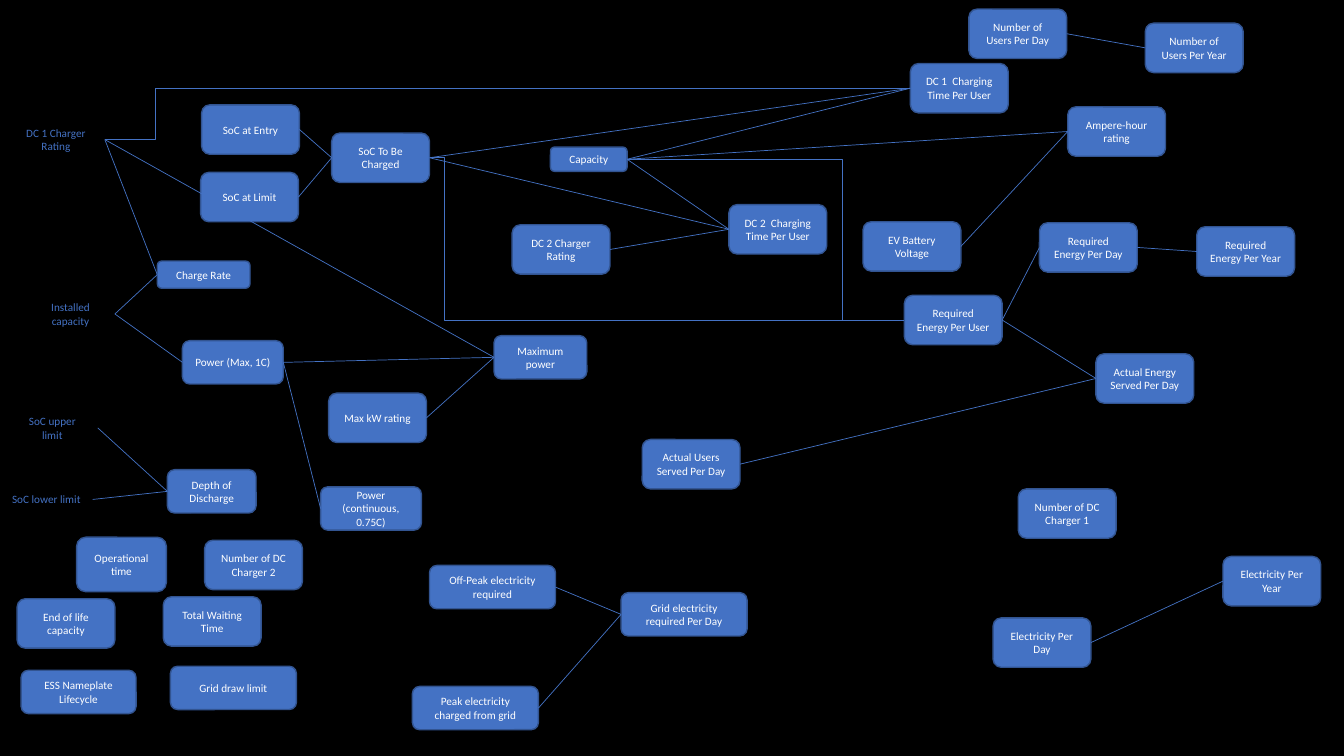
import pptx
import pptx.util
import pptx.dml.color
import pptx.enum.shapes
import pptx.enum.text
import pptx.oxml
import pptx.oxml.ns
import lxml.etree

Inches = pptx.util.Inches
Pt = pptx.util.Pt
BLUE, EDGE, WHITE, BLACK = "4472C4", "325491", "FFFFFF", "000000"

# Filled boxes, grouped by size: (width, height) -> (text, left, top)
BOXES = {
    (0.97, 0.49): [
        ("End of life capacity", 0.17, 5.94),
        ("Number of DC Charger 1", 10.1, 4.85),
        ("DC 1  Charging Time Per User", 9.03, 0.63),
        ("DC 2 Charger Rating", 5.08, 2.23),
        ("Number of DC Charger 2", 2.03, 5.36),
        ("DC 2  Charging Time Per User", 7.23, 2.03),
        ("Number of Users Per Day", 9.61, 0.09),
        ("Number of Users Per Year", 11.36, 0.23),
        ("SoC at Entry", 2, 1.04),
        ("SoC at Limit", 1.99, 1.71),
        ("SoC To Be Charged", 3.29, 1.32),
        ("Total Waiting Time", 1.62, 5.92),
        ("Actual Users Served Per Day", 6.37, 4.36),
        ("Actual Energy Served Per Day", 10.87, 3.51),
        ("Required Energy Per User", 8.97, 2.93),
        ("Required Energy Per Day", 10.31, 2.21),
        ("Required Energy Per Year", 11.87, 2.25),
        ("Electricity Per Day", 9.85, 6.13),
        ("Electricity Per Year", 12.13, 5.52),
        ("EV Battery Voltage", 8.56, 2.2),
        ("Max kW rating", 3.26, 3.9),
        ("Ampere-hour rating", 10.59, 1.06),
    ],
    (1.25, 0.43): [
        ("Off-Peak electricity required", 4.26, 5.61),
        ("Peak electricity charged from grid", 4.09, 6.81),
        ("Grid electricity required Per Day", 6.16, 5.88),
        ("Grid draw limit", 1.69, 6.61),
    ],
    (1, 0.43): [
        ("Power (continuous, 0.75C)", 3.18, 4.83),
        ("Power (Max, 1C)", 1.81, 3.38),
    ],
    (1.14, 0.43): [("ESS Nameplate Lifecycle", 0.21, 6.65)],
    (0.92, 0.43): [("Maximum power", 4.9, 3.33)],
    (0.88, 0.43): [("Depth of Discharge", 1.66, 4.66)],
    (0.89, 0.54): [("Operational time", 0.76, 5.33)],
    (0.92, 0.27): [("Charge Rate", 1.56, 2.59)],
    (0.76, 0.24): [("Capacity", 5.46, 1.46)],
}

# Plain labels without fill or outline
LABELS = {
    (0.97, 0.49): [("DC 1 Charger Rating", 0.07, 1.14)],
    (0.9, 0.49): [("SoC upper limit", 0.07, 4)],
    (0.92, 0.43): [("SoC lower limit", 0, 4.74)],
    (0.88, 0.39): [("Installed capacity", 0.26, 2.92)],
}

# Straight links: target -> sources
LINKS = {
    "Depth of Discharge": ["SoC upper limit", "SoC lower limit"],
    "Charge Rate": ["Installed capacity", "DC 1 Charger Rating"],
    "Power (Max, 1C)": ["Installed capacity"],
    "Power (continuous, 0.75C)": ["Power (Max, 1C)"],
    "Maximum power": ["DC 1 Charger Rating", "Power (Max, 1C)", "Max kW rating"],
    "Grid electricity required Per Day": [
        "Off-Peak electricity required", "Peak electricity charged from grid"],
    "SoC To Be Charged": ["SoC at Entry", "SoC at Limit"],
    "DC 1  Charging Time Per User": ["SoC To Be Charged", "Capacity"],
    "DC 2  Charging Time Per User": [
        "DC 2 Charger Rating", "SoC To Be Charged", "Capacity"],
    "Ampere-hour rating": ["Capacity", "EV Battery Voltage"],
    "Number of Users Per Year": ["Number of Users Per Day"],
    "Required Energy Per Day": ["Required Energy Per User"],
    "Required Energy Per Year": ["Required Energy Per Day"],
    "Actual Energy Served Per Day": [
        "Required Energy Per User", "Actual Users Served Per Day"],
    "Electricity Per Year": ["Electricity Per Day"],
}

# Elbow links: source, target, bend as percent of the width
ELBOWS = [
    ("DC 1 Charger Rating", "DC 1  Charging Time Per User", 6.3),
    ("Capacity", "Required Energy Per User", 77.8),
    ("SoC To Be Charged", "Required Energy Per User", 3.2),
]


def color(code):
    return pptx.dml.color.RGBColor.from_string(code)


def write(shape, text, size=8, font="Calibri", ink=WHITE):
    frame = shape.text_frame
    frame.word_wrap = True
    frame.vertical_anchor = pptx.enum.text.MSO_ANCHOR.MIDDLE
    para = frame.paragraphs[0]
    para.alignment = pptx.enum.text.PP_ALIGN.CENTER
    run = para.add_run()
    run.text = text
    run.font.size = Pt(size)
    run.font.name = font
    run.font.color.rgb = color(ink)


def add_node(text, left, top, wide, high, solid):
    node = slide.shapes.add_shape(
        pptx.enum.shapes.MSO_SHAPE.ROUNDED_RECTANGLE,
        Inches(left), Inches(top), Inches(wide), Inches(high))
    node.shadow.inherit = False
    if solid:
        node.fill.solid()
        node.fill.fore_color.rgb = color(BLUE)
        node.line.color.rgb = color(EDGE)
        node.line.width = Pt(1)
    else:
        node.fill.background()
        node.line.fill.background()
    write(node, text, ink=WHITE if solid else BLUE)
    return node


def add_link(start, end, bend=None):
    """Join the right side of one node to the left side of another."""
    kinds = pptx.enum.shapes.MSO_CONNECTOR
    kind = kinds.STRAIGHT if bend is None else kinds.ELBOW
    link = slide.shapes.add_connector(kind, 0, 0, 0, 0)
    link.begin_connect(nodes[start], 3)
    link.end_connect(nodes[end], 1)
    link.line.color.rgb = color(BLUE)
    link.line.width = Pt(0.5)
    props = link._element.spPr
    qn = pptx.oxml.ns.qn
    lxml.etree.SubElement(props, qn("a:effectLst"))
    if bend is not None:
        guides = props.find(qn("a:prstGeom")).find(qn("a:avLst"))
        lxml.etree.SubElement(guides, qn("a:gd"), name="adj1",
                              fmla=f"val {round(bend * 1000)}")


# Slide
deck = pptx.Presentation()
deck.slide_width, deck.slide_height = Inches(13.33), Inches(7.5)
slide = deck.slides.add_slide(deck.slide_layouts[6])
slide.background.fill.solid()
slide.background.fill.fore_color.rgb = color(BLACK)

# Nodes
nodes = {}
for groups, solid in ((BOXES, True), (LABELS, False)):
    for (wide, high), items in groups.items():
        for text, left, top in items:
            nodes[text] = add_node(text, left, top, wide, high, solid)

# Links
for end, starts in LINKS.items():
    for start in starts:
        add_link(start, end)
for start, end, bend in ELBOWS:
    add_link(start, end, bend)

deck.save("out.pptx")
